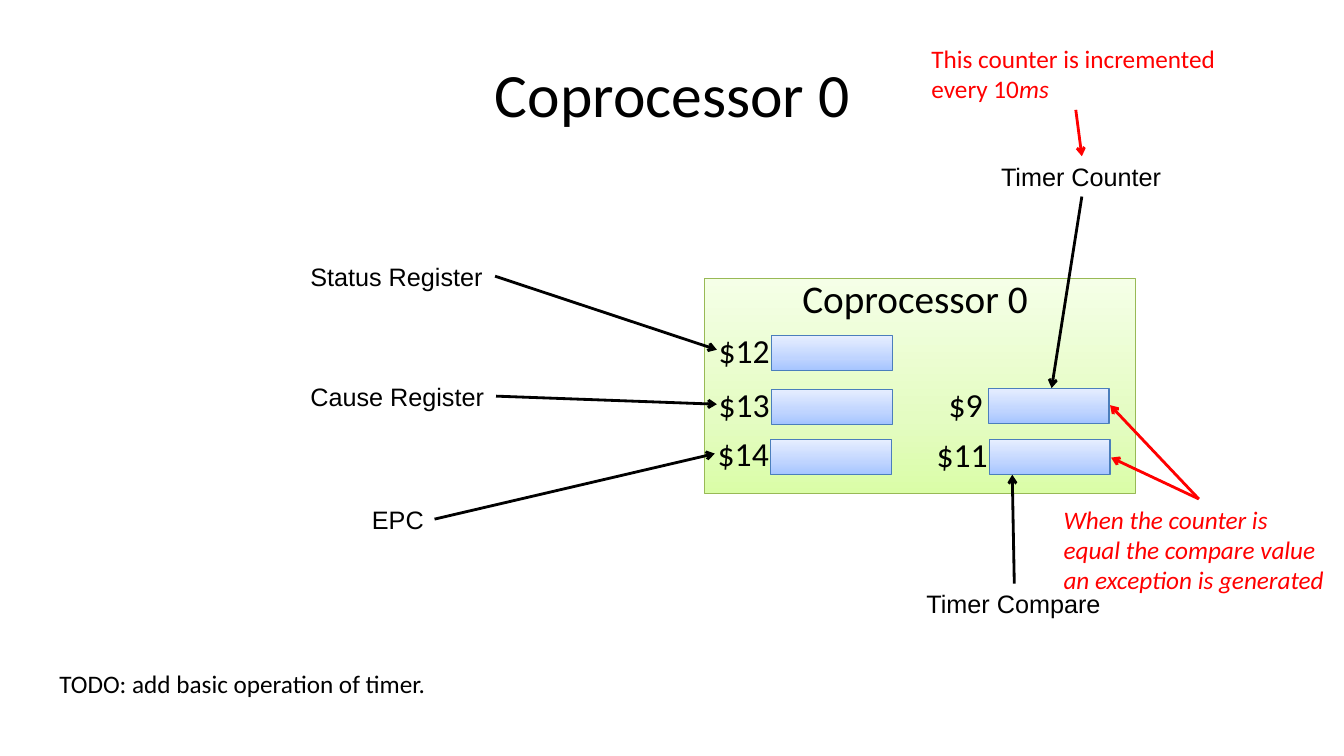
from copy import deepcopy

from lxml import etree
from pptx import Presentation
from pptx.dml.color import RGBColor
from pptx.enum.shapes import MSO_CONNECTOR, MSO_SHAPE
from pptx.enum.text import MSO_ANCHOR, MSO_AUTO_SIZE, PP_ALIGN
from pptx.oxml.ns import qn
from pptx.util import Inches, Pt

RECTANGLE = MSO_SHAPE.RECTANGLE
STRAIGHT = MSO_CONNECTOR.STRAIGHT
FIT_SHAPE = MSO_AUTO_SIZE.SHAPE_TO_FIT_TEXT
MIDDLE = MSO_ANCHOR.MIDDLE
CENTER = PP_ALIGN.CENTER

BLACK = RGBColor(0x00, 0x00, 0x00)
RED = RGBColor(0xFF, 0x00, 0x00)
GREEN_LINE = RGBColor(0x98, 0xB9, 0x55)
GREEN_STOPS = [RGBColor(0xDA, 0xFD, 0xA7), RGBColor(0xE4, 0xFC, 0xC2), RGBColor(0xF5, 0xFF, 0xE7)]
BLUE_LINE = RGBColor(0x4B, 0x7E, 0xBC)
BLUE_STOPS = [RGBColor(0xA4, 0xC4, 0xFF), RGBColor(0xBF, 0xD4, 0xFF), RGBColor(0xE6, 0xEE, 0xFF)]
STOP_POSITIONS = [0, 0.35, 1]

presentation = Presentation()
presentation.slide_width = Inches(13.33)
presentation.slide_height = Inches(7.5)
slide = presentation.slides.add_slide(presentation.slide_layouts[6])


def add_text(left, top, width, height, lines, size=18, font="Calibri", color=BLACK):
    """Add a text box; each line is a list of (text, italic) runs."""
    box = slide.shapes.add_textbox(Inches(left), Inches(top), Inches(width), Inches(height))
    frame = box.text_frame
    frame.word_wrap = False
    frame.auto_size = FIT_SHAPE
    for index, runs in enumerate(lines):
        paragraph = frame.paragraphs[0] if index == 0 else frame.add_paragraph()
        for text, italic in runs:
            run = paragraph.add_run()
            run.text = text
            run.font.size = Pt(size)
            run.font.name = font
            run.font.italic = italic
            run.font.color.rgb = color
    return frame


def add_arrow(start, end, color=BLACK):
    """Add a straight arrow pointing at end."""
    arrow = slide.shapes.add_connector(STRAIGHT, *map(Inches, start + end))
    arrow.line.color.rgb = color
    arrow.line.width = Pt(2)
    etree.SubElement(arrow.line._get_or_add_ln(), qn("a:tailEnd"), type="arrow")
    etree.SubElement(arrow._element.spPr, qn("a:effectLst"))


# Title
title = add_text(0.67, 0.3, 12, 1.25, [[("Coprocessor 0", False)]], size=44)
title.auto_size = MSO_AUTO_SIZE.NONE
title.word_wrap = True
title.vertical_anchor = MIDDLE
title.paragraphs[0].alignment = CENTER

# Coprocessor panel and its register boxes
blocks = [(6.99, 2.76, 4.27, 2.14, GREEN_STOPS, GREEN_LINE)]
register_places = [(7.65, 3.33), (7.65, 3.86), (7.64, 4.36), (9.8, 3.85), (9.81, 4.36)]
blocks += [(left, top, 1.2, 0.35, BLUE_STOPS, BLUE_LINE) for left, top in register_places]
for left, top, width, height, stop_colors, line_color in blocks:
    shape = slide.shapes.add_shape(RECTANGLE, Inches(left), Inches(top), Inches(width), Inches(height))
    shape.shadow.inherit = False
    shape.line.color.rgb = line_color
    shape.line.width = Pt(0.75)
    shape.fill.gradient()
    shape.fill.gradient_angle = 90
    stop_list = shape._element.spPr.find(qn("a:gradFill")).find(qn("a:gsLst"))
    stop_list.append(deepcopy(stop_list[0]))
    for stop, position, color in zip(shape.fill.gradient_stops, STOP_POSITIONS, stop_colors):
        stop.position = position
        stop.color.rgb = color

# Panel heading and register numbers
add_text(7.86, 2.67, 2.46, 0.57, [[("Coprocessor 0", False)]], size=28)
for number, left, top, width in [
    ("$12", 7.03, 3.22, 0.71),
    ("$13", 7.03, 3.76, 0.71),
    ("$14", 7.02, 4.25, 0.71),
    ("$9", 9.31, 3.76, 0.54),
    ("$11", 9.19, 4.26, 0.71),
]:
    add_text(left, top, width, 0.5, [[(number, False)]], size=24)

# Register names with arrows
for name, left, top, width, start, end in [
    ("Timer Counter", 9.83, 1.55, 1.81, (10.73, 1.95), (10.43, 3.85)),
    ("Timer Compare", 9.09, 5.79, 1.95, (10.06, 5.79), (10.04, 4.71)),
    ("Status Register", 2.98, 2.54, 1.93, (4.91, 2.74), (7.11, 3.47)),
    ("Cause Register", 2.98, 3.73, 1.94, (4.92, 3.93), (7.11, 4.01)),
    ("EPC", 3.59, 4.95, 0.72, (4.31, 5.15), (7.09, 4.5)),
]:
    add_text(left, top, width, 0.4, [[(name, False)]], font="Arial")
    add_arrow(start, end)

# Red remarks on the timer
add_text(9.14, 0.38, 3.06, 0.71,
         [[("This counter is incremented", False)], [("every 10", False), ("ms", True)]], color=RED)
add_arrow((10.67, 1.09), (10.73, 1.55), RED)
exception_lines = ["When the counter is", "equal the compare value", "an exception is generated"]
add_text(10.45, 4.95, 2.89, 1.01, [[(line, True)] for line in exception_lines], color=RED)
for end in [(11.02, 4.54), (11.01, 4.02)]:
    add_arrow((11.89, 4.95), end, RED)

# Open task
add_text(0.49, 6.58, 3.91, 0.4, [[("TODO: add basic operation of timer.", False)]])

presentation.save("out.pptx")
